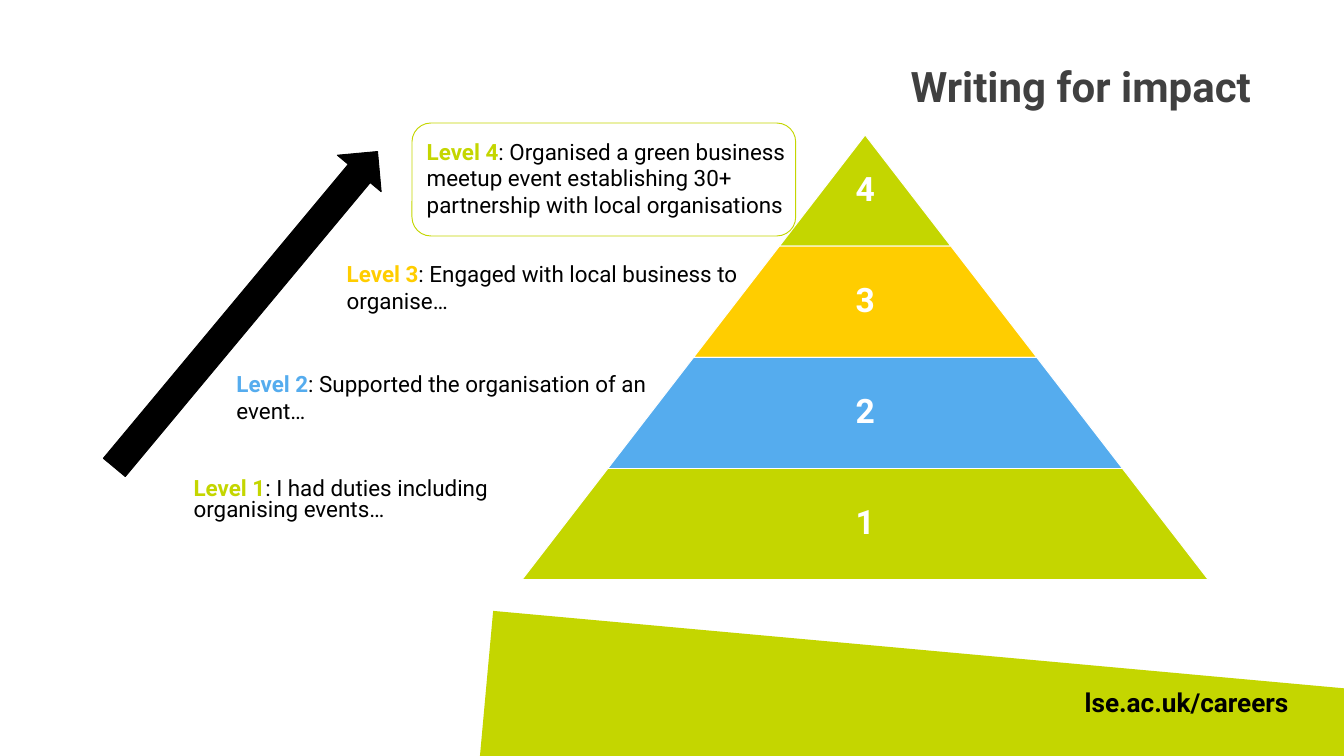
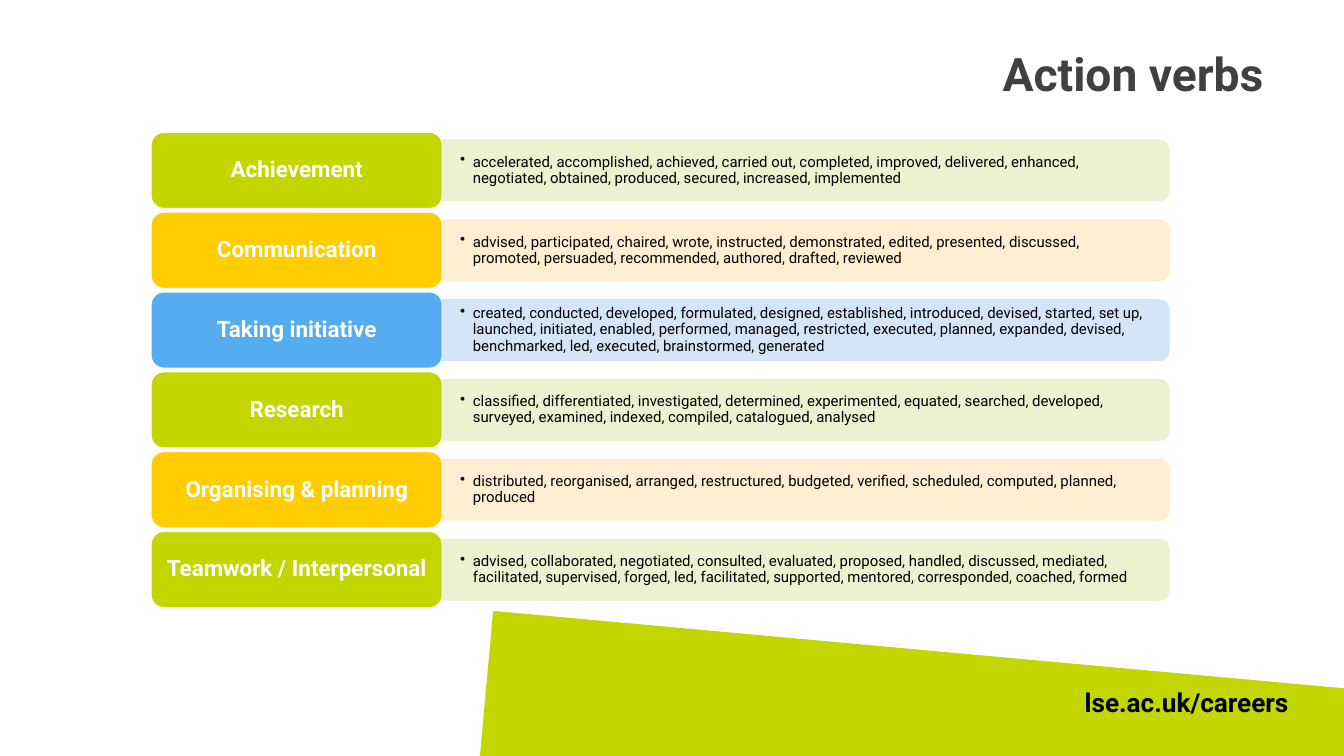
from lxml.etree import SubElement
from pptx import Presentation
from pptx.dml.color import RGBColor
from pptx.enum.shapes import MSO_SHAPE as Shape
from pptx.enum.text import MSO_ANCHOR as Anchor, MSO_AUTO_SIZE as AutoSize, PP_ALIGN as Align
from pptx.oxml.ns import qn
from pptx.util import Pt

# Shared style
FONT = "Roboto"
LIME = RGBColor(0xC4, 0xD6, 0x00)
YELLOW = RGBColor(0xFF, 0xCD, 0x00)
BLUE = RGBColor(0x55, 0xAC, 0xEE)
PALE_LIME = RGBColor(0xEA, 0xF0, 0xCC)
PALE_YELLOW = RGBColor(0xFF, 0xED, 0xCC)
PALE_BLUE = RGBColor(0xD1, 0xE3, 0xF8)
GREY = RGBColor(0x40, 0x40, 0x40)
BLACK = RGBColor(0x00, 0x00, 0x00)
WHITE = RGBColor(0xFF, 0xFF, 0xFF)
PALE = {LIME: PALE_LIME, YELLOW: PALE_YELLOW, BLUE: PALE_BLUE}
FOOTER = "lse.ac.uk/careers"

# Content: level, colour, text, box (left, top, width, height), line spacing
LEVELS = [
    (4, LIME, "Organised a green business meetup event establishing 30+ partnership "
     "with local organisations", (414, 144, 496.8, 94.3), None),
    (3, YELLOW, "Engaged with local business to organise…", (328.3, 275, 496.8, 94.3), None),
    (2, BLUE, "Supported the organisation of an event…", (210.2, 393.1, 496.8, 94.3), None),
    (1, LIME, "I had duties including organising events…", (164.2, 510.5, 444.2, 200.2), Pt(22.5)),
]
VERBS = [
    ("Achievement", LIME,
     "accelerated, accomplished, achieved, carried out, completed, improved, delivered, "
     "enhanced, negotiated, obtained, produced, secured, increased, implemented"),
    ("Communication", YELLOW,
     "advised, participated, chaired, wrote, instructed, demonstrated, edited, presented, "
     "discussed, promoted, persuaded, recommended, authored, drafted, reviewed"),
    ("Taking initiative", BLUE,
     "created, conducted, developed, formulated, designed, established, introduced, devised, "
     "started, set up, launched, initiated, enabled, performed, managed, restricted, executed, "
     "planned, expanded, devised, benchmarked, led, executed, brainstormed, generated"),
    ("Research", LIME,
     "classified, differentiated, investigated, determined, experimented, equated, searched, "
     "developed, surveyed, examined, indexed, compiled, catalogued, analysed"),
    ("Organising & planning", YELLOW,
     "distributed, reorganised, arranged, restructured, budgeted, verified, scheduled, "
     "computed, planned, produced"),
    ("Teamwork / Interpersonal", LIME,
     "advised, collaborated, negotiated, consulted, evaluated, proposed, handled, discussed, "
     "mediated, facilitated, supervised, forged, led, facilitated, supported, mentored, "
     "corresponded, coached, formed"),
]

# Geometry in points
APEX_X, PYRAMID_TOP, TIER_HEIGHT, TIER_GROWTH = 927, 144.7, 119.1, 183.8
ROW_TOP, ROW_PITCH = 141.9, 85.54
LABEL_LEFT, LABEL_WIDTH, LABEL_HEIGHT = 162, 311.8, 81.4
BAR_LEFT, BAR_WIDTH, BAR_HEIGHT = 473.6, 779, 65.3


def add_shape(slide, kind, box, fill=None, line=None, rotation=0):
    shape = slide.shapes.add_shape(kind, *map(Pt, box))
    shape.shadow.inherit = False
    shape.rotation = rotation
    if fill is None:
        shape.fill.background()
    else:
        shape.fill.solid()
        shape.fill.fore_color.rgb = fill
    if line is None:
        shape.line.fill.background()
    else:
        shape.line.color.rgb = line
        shape.line.width = Pt(1)
    return shape


def set_margins(frame, across, down):
    frame.margin_left = frame.margin_right = Pt(across)
    frame.margin_top = frame.margin_bottom = Pt(down)


def style(para, size, color=None, bold=None, align=Align.LEFT, spacing=None):
    para.alignment = align
    para.line_spacing = spacing
    para.font.name = FONT
    para.font.size = Pt(size)
    para.font.bold = bold
    if color is not None:
        para.font.color.rgb = color


def add_frame(slide, box):
    frame = slide.shapes.add_textbox(*map(Pt, box)).text_frame
    frame.word_wrap = True
    return frame


def write_centred(frame, text, size):
    frame.word_wrap = True
    frame.vertical_anchor = Anchor.MIDDLE
    frame.text = text
    style(frame.paragraphs[0], size, WHITE, True, Align.CENTER, 0.9)


def add_page(deck, title, box, size):
    """Add a slide with the shared band, footer and title style."""
    page = deck.slides.add_slide(deck.slide_layouts[5])
    add_shape(page, Shape.RECTANGLE, (516.2, 697, 947.5, 226.1), LIME, rotation=5.2)
    footer = add_frame(page, (1146.2, 732.2, 241.2, 41))
    footer.text = FOOTER
    style(footer.paragraphs[0], 28, BLACK, True, Align.RIGHT)

    heading = page.shapes.title
    heading.left, heading.top, heading.width, heading.height = map(Pt, box)
    frame = heading.text_frame
    frame.auto_size = AutoSize.NONE
    frame.vertical_anchor = Anchor.MIDDLE
    frame.margin_left = Pt(8.6)
    frame.text = title
    style(frame.paragraphs[0], size, GREY, True, spacing=0.9)
    return page


def add_tier(page, index, level, color):
    width = TIER_GROWTH * (index + 1)
    box = (APEX_X - width / 2, PYRAMID_TOP + index * TIER_HEIGHT, width, TIER_HEIGHT)
    tier = add_shape(page, Shape.TRAPEZOID, box, color, WHITE)
    tier.adjustments[0] = TIER_GROWTH / 2 / TIER_HEIGHT
    # The number sits in its own box so that it is centred on the tier's height
    frame = add_frame(page, box)
    set_margins(frame, 3.6, 3.6)
    write_centred(frame, str(level), 36)


def add_level_text(page, level, color, text, box, spacing):
    frame = add_frame(page, box)
    frame.margin_left = Pt(43.2)
    para = frame.paragraphs[0]
    style(para, 24, spacing=spacing)
    for words, ink, bold in ((f"Level {level}", color, True), (f": {text}", BLACK, False)):
        span = para.add_run()
        span.text = words
        span.font.bold = bold
        span.font.color.rgb = ink


def add_verb_row(page, index, label, color, verbs):
    top = ROW_TOP + index * ROW_PITCH
    middle = top + LABEL_HEIGHT / 2

    # Bar: a tall shape turned so that its rounded end faces right
    bar_box = (BAR_LEFT + (BAR_WIDTH - BAR_HEIGHT) / 2, middle - BAR_WIDTH / 2,
               BAR_HEIGHT, BAR_WIDTH)
    bar = add_shape(page, Shape.ROUND_2_SAME_RECTANGLE, bar_box, PALE[color], PALE[color], 90)
    for ink in bar.element.spPr.iter(qn("a:srgbClr")):
        SubElement(ink, qn("a:alpha"), val="90000")

    # Verbs
    frame = add_frame(page, (BAR_LEFT, middle - 29.5, BAR_WIDTH - 3.5, 59))
    frame.vertical_anchor = Anchor.MIDDLE
    set_margins(frame, 19.4, 10)
    frame.text = verbs
    para = frame.paragraphs[0]
    props = para._p.get_or_add_pPr()
    props.set("marL", str(Pt(13.7)))
    props.set("indent", str(-Pt(13.7)))
    SubElement(props, qn("a:buChar"), char="•")
    style(para, 16, BLACK, spacing=0.9)

    # Label
    box = (LABEL_LEFT, top, LABEL_WIDTH, LABEL_HEIGHT)
    tag = add_shape(page, Shape.ROUNDED_RECTANGLE, box, color, WHITE)
    set_margins(tag.text_frame, 5.8, 3.6)
    write_centred(tag.text_frame, label, 24)


def build_impact(deck):
    page = add_page(deck, "Writing for impact", (967, 33.8, 427, 122.4), 45)
    for index, (level, color, *_) in enumerate(LEVELS):
        add_tier(page, index, level, color)
    for entry in LEVELS:
        add_level_text(page, *entry)
    add_shape(page, Shape.ROUNDED_RECTANGLE, (441.4, 131.8, 411.1, 121), line=LIME)
    add_shape(page, Shape.RIGHT_ARROW, (43.2, 301, 440.6, 61.2), BLACK, BLACK, 309.8)


def build_verbs(deck):
    page = add_page(deck, "Action verbs", (1065.6, 49.7, 325.4, 64), 49.5)
    for index, row in enumerate(VERBS):
        add_verb_row(page, index, *row)


def main():
    deck = Presentation()
    deck.slide_width, deck.slide_height = Pt(1440), Pt(810)
    build_impact(deck)
    build_verbs(deck)
    deck.save("out.pptx")


if __name__ == "__main__":
    main()
